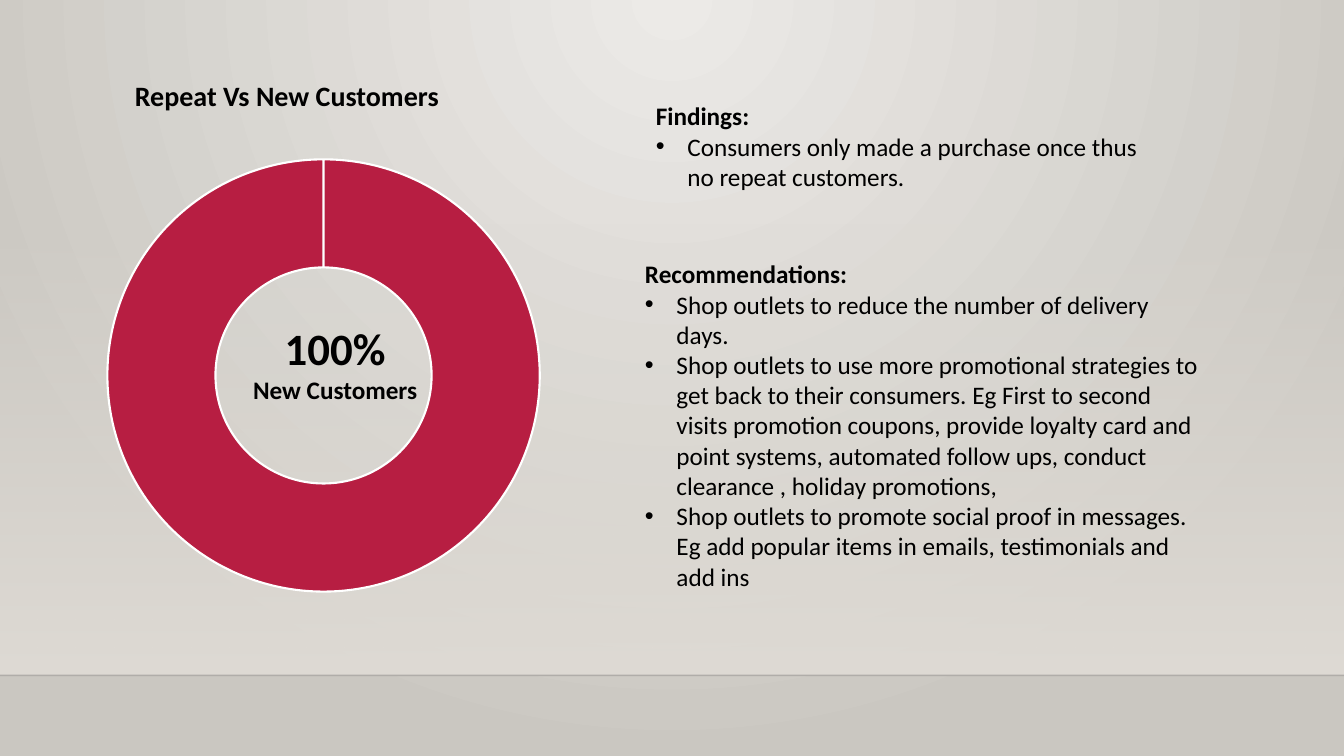
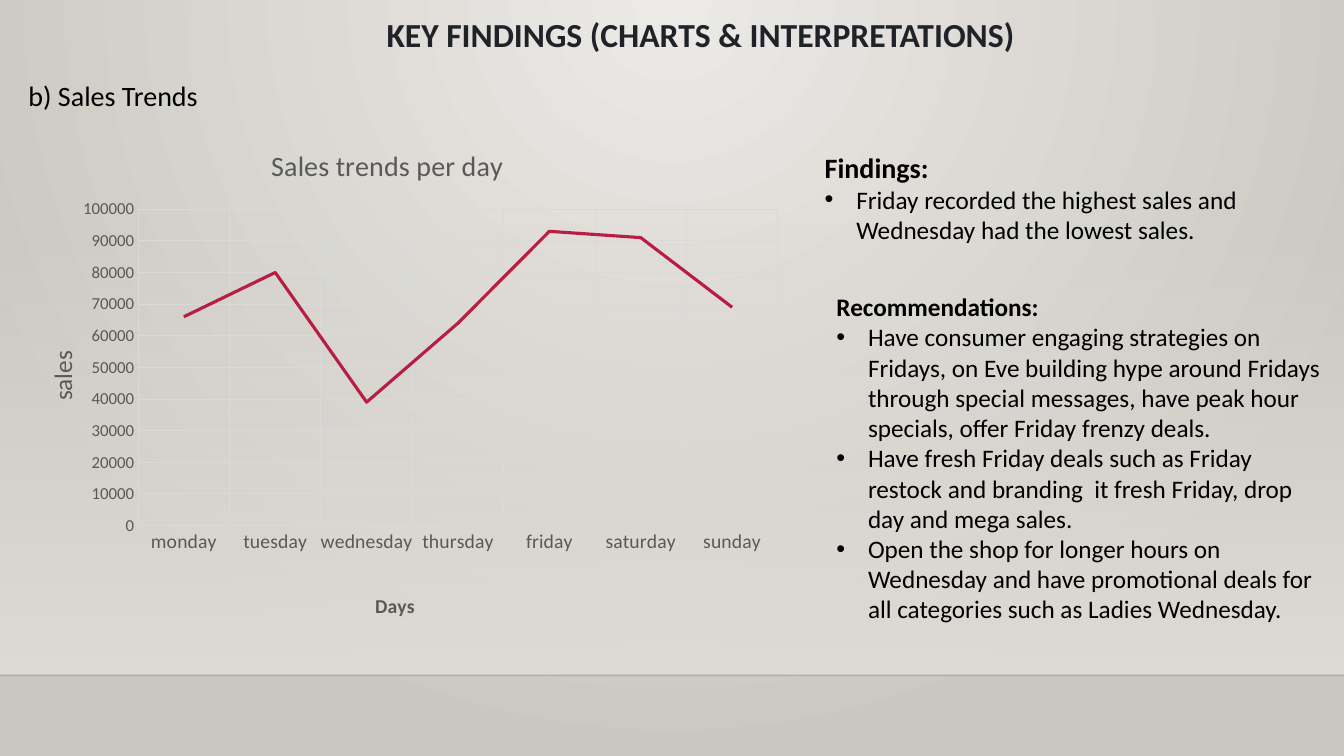
import pptx
import pptx.util
import pptx.chart.data
import pptx.dml.color
import pptx.enum.chart
import pptx.enum.shapes
import pptx.enum.text
import pptx.oxml.ns
import lxml.etree
from dataclasses import dataclass

Pt = pptx.util.Pt
qn = pptx.oxml.ns.qn
Kind = pptx.enum.chart.XL_CHART_TYPE
Tick = pptx.enum.chart.XL_TICK_MARK
Align = pptx.enum.text.PP_ALIGN


@dataclass(frozen=True)
class Theme:
    face: str = "Calibri"
    ink: str = "000000"
    dark: str = "1F2328"
    gray: str = "595959"
    grid: str = "D9D9D9"
    red: str = "B71E42"
    pink: str = "DE478E"
    white: str = "FFFFFF"
    glow: str = "ECEAE7"
    edge: str = "CAC7C1"
    band: str = "DFDBD5"
    rule: str = "000001"
    huge: int = 32
    head: int = 24
    lead: int = 20
    body: int = 18
    label: int = 14
    small: int = 12
    tiny: int = 10


def hue(code):
    return pptx.dml.color.RGBColor.from_string(code)


def put(item, vals):
    for name, val in vals.items():
        setattr(item, name, val)


def node(root, tag, **vals):
    child = lxml.etree.SubElement(root, qn(tag))
    for name, val in vals.items():
        child.set(name, str(val))
    return child


def first(root, tag):
    return next(root.iter(qn(tag)))


def place(root, spot, vals):
    for old in root.findall(qn("c:layout")):
        root.remove(old)
    layout = lxml.etree.Element(qn("c:layout"))
    manual = node(layout, "c:manualLayout")
    for name, val in vals.items():
        node(manual, "c:" + name, val=val)
    root.insert(spot, layout)


class Deck:
    cols, rows = 160, 90

    def __init__(self, theme):
        self.theme = theme
        self.show = pptx.Presentation()
        put(self.show, {"slide_width": pptx.util.Inches(13.33),
                        "slide_height": pptx.util.Inches(7.5)})
        self.slide = None
        self.backdrop()

    def box(self, left, top, wide, high):
        x, y = self.show.slide_width / self.cols, self.show.slide_height / self.rows
        return [round(v) for v in (left * x, top * y, wide * x, high * y)]

    def blend(self, fill, start, end):
        fill.gradient()
        for stop, code, spot in zip(fill.gradient_stops, (start, end), (0, 1)):
            stop.color.rgb = hue(code)
            stop.position = spot

    def backdrop(self):
        master = self.show.slide_master
        self.blend(master.background.fill, self.theme.glow, self.theme.edge)
        grad = first(master.element, "a:gradFill")
        grad.remove(grad.find(qn("a:lin")))
        node(node(grad, "a:path", path="circle"), "a:fillToRect",
             l=43000, t=0, r=43000, b=100000)

    def page(self):
        self.slide = self.show.slides.add_slide(self.show.slide_layouts[6])
        self.wash()
        self.rule()

    def wash(self):
        shape = self.slide.shapes.add_shape(
            pptx.enum.shapes.MSO_SHAPE.RECTANGLE, *self.box(0, 26.5, 160, 53.9))
        shape.shadow.inherit = False
        shape.line.fill.background()
        self.blend(shape.fill, self.theme.band, self.theme.band)
        shape.fill.gradient_angle = 270
        node(first(shape.element, "a:srgbClr"), "a:alpha", val=0)

    def rule(self):
        left, top, wide, _ = self.box(0, 80.4, 160, 0)
        line = self.slide.shapes.add_connector(
            pptx.enum.shapes.MSO_CONNECTOR.STRAIGHT, left, top, left + wide, top)
        self.stroke(line.line, self.theme.rule, 1)
        node(first(line.element, "a:srgbClr"), "a:alpha", val=20000)
        node(line.element.spPr, "a:effectLst")

    def stroke(self, line, code, wide):
        line.color.rgb = hue(code)
        line.width = Pt(wide)

    def style(self, font, size, code, bold=False):
        put(font, {"name": self.theme.face, "size": Pt(size), "bold": bold})
        font.color.rgb = hue(code)

    def text(self, at, lines, code=None, grow=True, **form):
        frame = self.slide.shapes.add_textbox(*self.box(*at)).text_frame
        fit = pptx.enum.text.MSO_AUTO_SIZE
        put(frame, {"word_wrap": True,
                    "auto_size": fit.SHAPE_TO_FIT_TEXT if grow else fit.NONE})
        for spot, (words, size, bold) in enumerate(lines):
            para = frame.add_paragraph() if spot else frame.paragraphs[0]
            put(para, form)
            run = para.add_run()
            run.text = words
            self.style(run.font, size, code or self.theme.ink, bold)
        return frame

    def notes(self, at, head, items, size=None):
        body = self.theme.body
        frame = self.text(at, [(head, size or body, True)]
                          + [(item, body, False) for item in items])
        for para in frame.paragraphs[1:]:
            prop = para._p.get_or_add_pPr()
            for name, val in {"marL": "285750", "indent": "-285750"}.items():
                prop.set(name, val)
            node(prop, "a:buFont", typeface="Arial")
            node(prop, "a:buChar", char="•")

    def chart(self, kind, at, cats, vals, area):
        data = pptx.chart.data.CategoryChartData()
        data.categories = cats
        data.add_series("Series 1", vals)
        chart = self.slide.shapes.add_chart(kind, *self.box(*at), data).chart
        put(chart, {"has_legend": False, "has_title": False})
        self.style(chart.font, self.theme.tiny, self.theme.ink)
        chart.plots[0].vary_by_categories = False
        place(first(chart.element, "c:plotArea"), 0,
              dict(zip(("layoutTarget", "xMode", "yMode", "x", "y", "w", "h"),
                       ("inner", "edge", "edge", *area))))
        return chart

    def ring(self, at, cats, vals, area):
        chart = self.chart(Kind.DOUGHNUT, at, cats, vals, area)
        first(chart.element, "c:holeSize").set("val", "75")
        points = chart.plots[0].series[0].points
        for spot, code in enumerate((self.theme.red, self.theme.pink)):
            form = points[spot].format
            form.fill.solid()
            form.fill.fore_color.rgb = hue(code)
            self.stroke(form.line, self.theme.white, 1.5)

    def title(self, item, words, size, x, y, bold=False):
        item.text_frame.text = words
        run = item.text_frame.paragraphs[0].runs[0]
        self.style(run.font, size, self.theme.gray, bold)
        place(item.element, 1, {"xMode": "edge", "yMode": "edge", "x": x, "y": y})

    def trend(self, at, cats, vals, area, names):
        theme = self.theme
        chart = self.chart(Kind.LINE, at, cats, vals, area)
        series = chart.plots[0].series[0]
        series.smooth = False
        self.stroke(series.format.line, theme.red, 2.25)
        days, sales = chart.category_axis, chart.value_axis
        for axis, size in ((days, theme.label), (sales, theme.small)):
            put(axis, {"has_major_gridlines": True, "major_tick_mark": Tick.NONE,
                       "minor_tick_mark": Tick.NONE})
            self.style(axis.tick_labels.font, size, theme.gray)
            for form in (axis.format, axis.major_gridlines.format):
                self.stroke(form.line, theme.grid, 0.75)
        put(sales, {"minimum_scale": 0, "maximum_scale": 100000, "major_unit": 10000})
        sales.format.line.fill.background()
        head, foot, side = names
        self.title(chart.chart_title, head, theme.lead, 0.3, 0.05)
        self.title(days.axis_title, foot, theme.label, 0.44, 0.9, True)
        self.title(sales.axis_title, side, theme.body, 0, 0.44)
        first(sales.axis_title.element, "a:bodyPr").set("rot", "-5400000")


def main():
    theme = Theme()
    deck = Deck(theme)

    deck.page()
    deck.ring((4.2, 10.3, 66, 62), ["1", "2"], [100, 0], (0.13, 0.13, 0.78, 0.85))
    deck.text((26.6, 37.6, 26.6, 11.3),
              [("100%", theme.huge, True), ("New Customers", theme.body, True)],
              alignment=Align.CENTER)
    deck.text((4.1, 8.8, 60.1, 5.3), [("Repeat Vs New Customers", theme.lead, True)],
              alignment=Align.CENTER)
    deck.notes((76.9, 11.4, 61.1, 12.1), "Findings:", [
        "Consumers only made a purchase once thus no repeat customers."])
    deck.notes((75.6, 30.2, 69, 44.9), "Recommendations:", [
        "Shop outlets to reduce the number of delivery days.",
        "Shop outlets to use more promotional strategies to get back to their "
        "consumers. Eg First to second visits promotion coupons, provide loyalty "
        "card and point systems, automated follow ups, conduct clearance , "
        "holiday promotions,",
        "Shop outlets to promote social proof in messages. Eg add popular items "
        "in emails, testimonials and add ins"])

    deck.page()
    deck.text((20.4, 1.6, 126, 8.2),
              [("KEY FINDINGS (CHARTS & INTERPRETATIONS)", theme.head, True)],
              theme.dark, False, alignment=Align.CENTER, line_spacing=0.9)
    deck.text((2.2, 7.9, 144.4, 6.1), [("b) Sales Trends", theme.lead, False)],
              grow=False, line_spacing=1.2, space_before=Pt(10))
    deck.trend((4.8, 13.6, 89.6, 62.8),
               ["monday", "tuesday", "wednesday", "thursday", "friday",
                "saturday", "sunday"],
               [66000, 80000, 39000, 64000, 93000, 91000, 69000],
               (0.13, 0.18, 0.85, 0.6),
               ("Sales trends per day", "Days", "sales"))
    deck.notes((97, 17.3, 61.4, 12.5), "Findings:", [
        "Friday recorded the highest sales and Wednesday had the lowest sales."],
        theme.lead)
    deck.notes((98.4, 34.1, 60, 44.9), "Recommendations:", [
        "Have consumer engaging strategies on Fridays, on Eve building hype around "
        "Fridays through special messages, have peak hour specials, offer Friday "
        "frenzy deals.",
        "Have fresh Friday deals such as Friday restock and branding  it fresh "
        "Friday, drop day and mega sales.",
        "Open the shop for longer hours on Wednesday and have promotional deals "
        "for all categories such as Ladies Wednesday."])

    deck.show.save("out.pptx")


if __name__ == "__main__":
    main()
